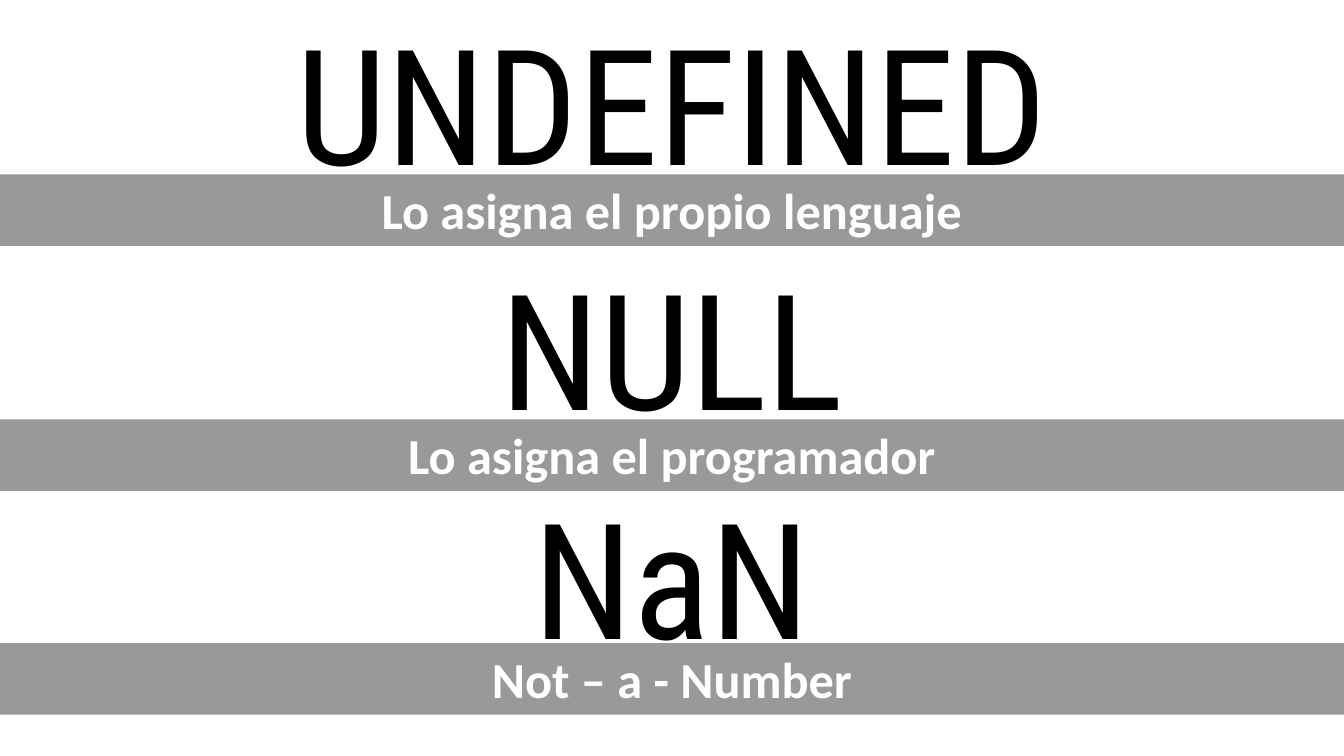
import pptx
import pptx.dml.color
import pptx.enum.shapes
import pptx.enum.text
import pptx.oxml
import pptx.oxml.ns
import pptx.util

Pt = pptx.util.Pt
BLACK = pptx.dml.color.RGBColor(0x00, 0x00, 0x00)
WHITE = pptx.dml.color.RGBColor(0xFF, 0xFF, 0xFF)

SLIDE_WIDTH, SLIDE_HEIGHT = 960, 540
VALUE_HEIGHT, BAND_HEIGHT = 146.9, 51

EMPTY_VALUES = [
    ("UNDEFINED", 0, "Lo asigna el propio lenguaje", 124.6),
    ("NULL", 175, "Lo asigna el programador", 299.6),
    ("NaN", 338.4, "Not – a - Number", 459.4),
]


class SlideBuilder:
    value_font = "Roboto Condensed"
    value_size = 115
    meaning_font = "Calibri"
    meaning_size = 36
    band_opacity = 40

    def __init__(self, slide):
        self.slide = slide

    def set_wording(self, frame, wording, font_name, size, color, bold):
        frame.word_wrap = True
        frame.auto_size = pptx.enum.text.MSO_AUTO_SIZE.SHAPE_TO_FIT_TEXT
        frame.text = wording
        paragraph = frame.paragraphs[0]
        paragraph.alignment = pptx.enum.text.PP_ALIGN.CENTER
        font = paragraph.runs[0].font
        font.name = font_name
        font.size = Pt(size)
        font.bold = bold
        font.color.rgb = color

    def value(self, wording, top):
        heading = self.slide.shapes.add_textbox(
            0, Pt(top), Pt(SLIDE_WIDTH), Pt(VALUE_HEIGHT)
        )
        self.set_wording(heading.text_frame, wording, self.value_font,
                         self.value_size, BLACK, False)

    def band(self, wording, top):
        band = self.slide.shapes.add_shape(
            pptx.enum.shapes.MSO_SHAPE.RECTANGLE,
            0, Pt(top), Pt(SLIDE_WIDTH), Pt(BAND_HEIGHT),
        )
        band.shadow.inherit = False
        band.line.fill.background()
        band.fill.solid()
        band.fill.fore_color.rgb = BLACK
        color = band._element.spPr.find(".//" + pptx.oxml.ns.qn("a:srgbClr"))
        opacity = pptx.oxml.parse_xml(
            f'<a:alpha {pptx.oxml.ns.nsdecls("a")} val="{self.band_opacity * 1000}"/>'
        )
        color.append(opacity)
        band.text_frame.vertical_anchor = pptx.enum.text.MSO_ANCHOR.TOP
        self.set_wording(band.text_frame, wording, self.meaning_font,
                         self.meaning_size, WHITE, True)


def main():
    presentation = pptx.Presentation()
    presentation.slide_width = Pt(SLIDE_WIDTH)
    presentation.slide_height = Pt(SLIDE_HEIGHT)
    blank_layout = presentation.slide_layouts.get_by_name("Blank")
    builder = SlideBuilder(presentation.slides.add_slide(blank_layout))
    for value, value_top, meaning, band_top in EMPTY_VALUES:
        builder.value(value, value_top)
        builder.band(meaning, band_top)
    presentation.save("out.pptx")


if __name__ == "__main__":
    main()
